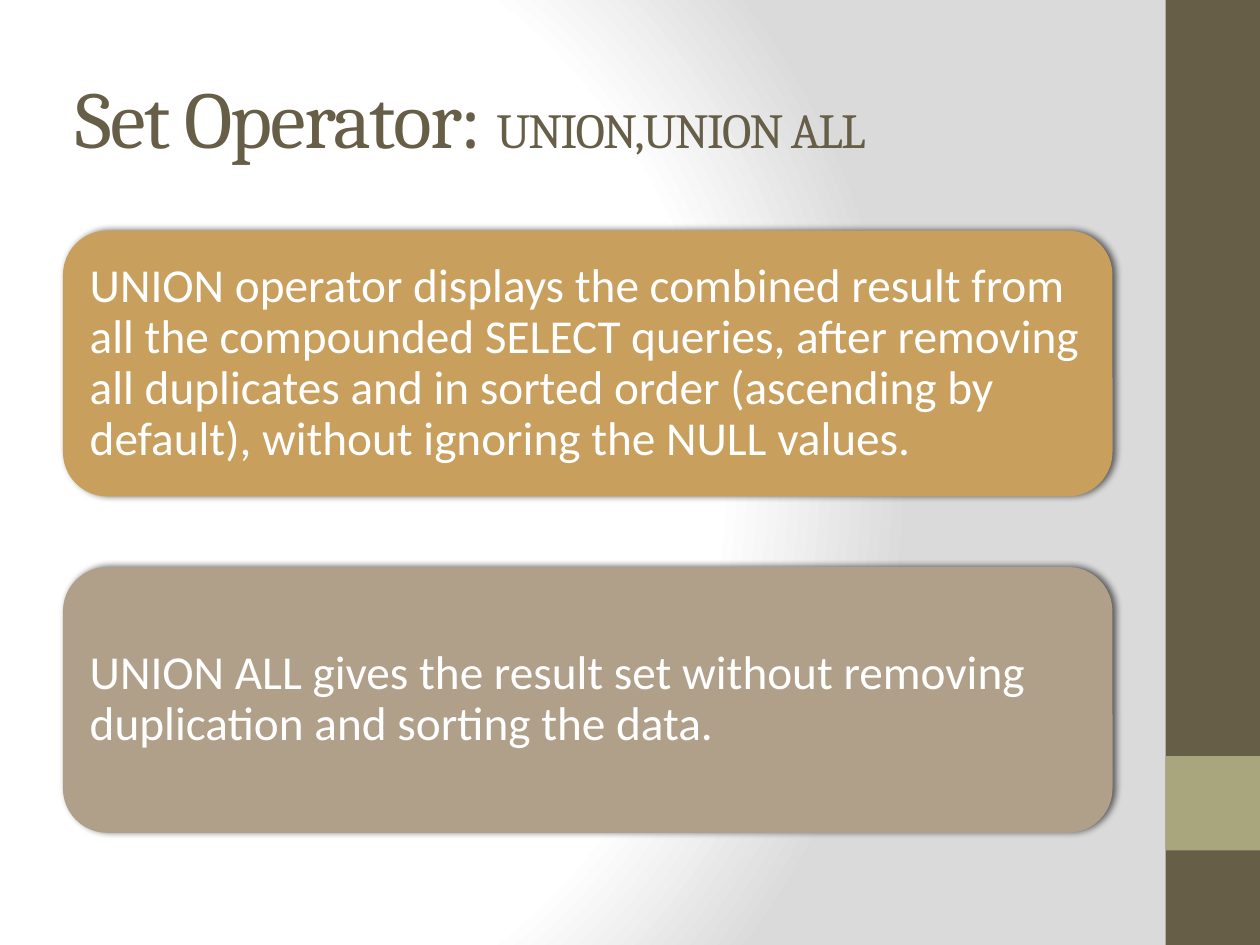
from dataclasses import dataclass

from lxml.etree import fromstring
from pptx import Presentation
from pptx.dml.color import RGBColor
from pptx.enum.shapes import MSO_SHAPE
from pptx.enum.text import MSO_ANCHOR, PP_ALIGN
from pptx.oxml.ns import nsdecls
from pptx.util import Inches, Pt


@dataclass(frozen=True)
class Theme:
    """Colours, fonts and type sizes of the slide."""
    olive: str = "675E47"
    sage: str = "A9A57C"
    gold: str = "C89F5D"
    taupe: str = "B1A089"
    white: str = "FFFFFF"
    grey: str = "DADADA"
    heading_font: str = "Cambria"
    body_font: str = "Calibri"
    heading_size: float = 46
    subheading_size: float = 28
    body_size: float = 27


THEME = Theme()


def add_run(paragraph, text, font, size, colour):
    """Append a formatted run and return it."""
    run = paragraph.add_run()
    run.text = text
    run.font.name = font
    run.font.size = Pt(size)
    run.font.color.rgb = RGBColor.from_string(colour)
    return run


def add_block(slide, preset, box, colour):
    """Add a borderless filled shape in the box."""
    block = slide.shapes.add_shape(preset, *map(Inches, box))
    block.shadow.inherit = False
    block.fill.solid()
    block.fill.fore_color.rgb = RGBColor.from_string(colour)
    block.line.fill.background()
    return block


def paint_background(slide):
    """Fill the background with a radial white to grey gradient."""
    slide.background.fill.gradient()
    gradient = slide.element.xpath("p:cSld/p:bg/p:bgPr/a:gradFill")[0]
    stops = "".join(
        f'<a:gs pos="{place * 1000}"><a:srgbClr val="{colour}"/></a:gs>'
        for place, colour in ((0, THEME.white), (75, THEME.white), (100, THEME.grey)))
    gradient.getparent().replace(gradient, fromstring(
        f'<a:gradFill {nsdecls("a")} rotWithShape="1"><a:gsLst>{stops}</a:gsLst>'
        '<a:path path="circle"><a:fillToRect l="20000" t="50000" r="100000" b="50000"/>'
        '</a:path></a:gradFill>'))


def add_sidebar(slide, left, top, width, height):
    """Add the side band with its square accent."""
    add_block(slide, MSO_SHAPE.RECTANGLE, (left, top, width, height), THEME.olive)
    accent_top = top + height - 2 * width
    add_block(slide, MSO_SHAPE.RECTANGLE, (left, accent_top, width, width), THEME.sage)


def set_heading(slide, left, top, width, height):
    """Place the title and write its two runs."""
    heading = slide.shapes.title
    heading.left, heading.top = Inches(left), Inches(top)
    heading.width, heading.height = Inches(width), Inches(height)
    frame = heading.text_frame
    frame.vertical_anchor = MSO_ANCHOR.MIDDLE
    paragraph = frame.paragraphs[0]
    paragraph.alignment = PP_ALIGN.LEFT
    for text, size in (("Set Operator: ", THEME.heading_size),
                       ("UNION,UNION ALL", THEME.subheading_size)):
        run = add_run(paragraph, text, THEME.heading_font, size, THEME.olive)
        run.font._element.set("spc", "-100")


def add_card(slide, box, colour, text):
    """Add a rounded card with a soft shadow and its statement."""
    card = add_block(slide, MSO_SHAPE.ROUNDED_RECTANGLE, box, colour)
    effects = card.element.spPr.xpath("a:effectLst")[0]
    effects.append(fromstring(
        f'<a:outerShdw {nsdecls("a")} blurRad="{Pt(4)}" dist="{Pt(2)}" dir="0" '
        'rotWithShape="0"><a:srgbClr val="000000"><a:alpha val="60000"/>'
        '</a:srgbClr></a:outerShdw>'))
    frame = card.text_frame
    frame.word_wrap = True
    frame.vertical_anchor = MSO_ANCHOR.MIDDLE
    frame.margin_left = frame.margin_right = Inches(0.11)
    frame.margin_top = frame.margin_bottom = Inches(0.11)
    paragraph = frame.paragraphs[0]
    paragraph.alignment = PP_ALIGN.LEFT
    paragraph.line_spacing = 0.9
    add_run(paragraph, text, THEME.body_font, THEME.body_size, THEME.white)


def add_cards(slide, left, top, width, height, gap):
    """Stack the operator cards in the box with an equal gap."""
    cards = (
        (THEME.gold, "UNION operator displays the combined result from all the "
                     "compounded SELECT queries, after removing all duplicates and in "
                     "sorted order (ascending by default), without ignoring the NULL "
                     "values."),
        (THEME.taupe, "UNION ALL gives the result set without removing duplication "
                      "and sorting the data."),
    )
    card_height = (height - gap * (len(cards) - 1)) / len(cards)
    for index, (colour, text) in enumerate(cards):
        card_top = top + index * (card_height + gap)
        add_card(slide, (left, card_top, width, card_height), colour, text)


def main():
    """Build and save the slide."""
    presentation = Presentation()
    presentation.slide_width, presentation.slide_height = Inches(10), Inches(7.5)
    slide = presentation.slides.add_slide(presentation.slide_layouts[5])
    paint_background(slide)
    add_sidebar(slide, 9.25, 0, 0.75, 7.5)
    set_heading(slide, 0.5, 0.3, 8.33, 1.25)
    add_cards(slide, 0.5, 1.83, 8.33, 4.78, 0.56)
    presentation.save("out.pptx")


main()
